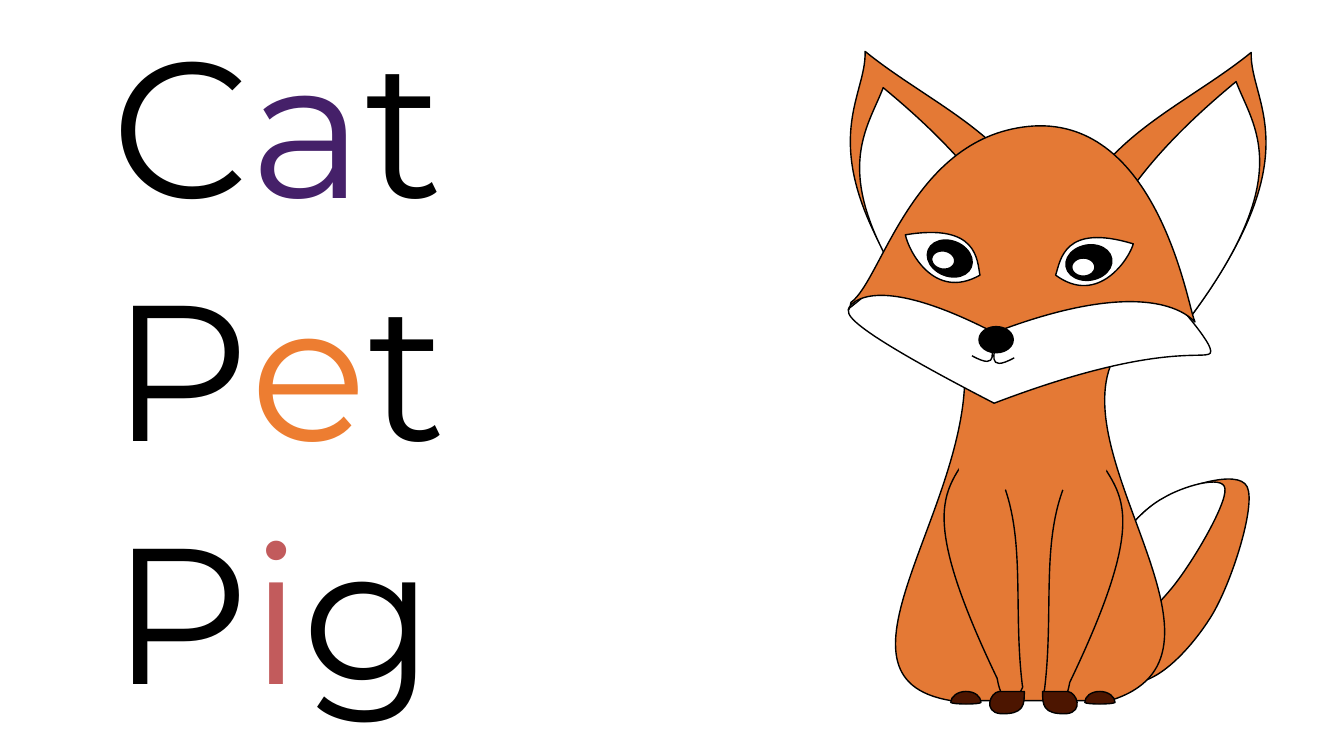
from lxml import etree
from pptx import Presentation
from pptx.dml.color import RGBColor
from pptx.enum.shapes import MSO_SHAPE
from pptx.enum.text import MSO_AUTO_SIZE
from pptx.oxml.ns import qn
from pptx.util import Emu, Pt

OVAL = MSO_SHAPE.OVAL
GROW = MSO_AUTO_SIZE.SHAPE_TO_FIT_TEXT

BLACK = RGBColor(0x00, 0x00, 0x00)
WHITE = RGBColor(0xFF, 0xFF, 0xFF)
PURPLE = RGBColor(0x45, 0x20, 0x69)
ORANGE = RGBColor(0xED, 0x7D, 0x31)
ROSE = RGBColor(0xC2, 0x5B, 0x5C)
FUR = RGBColor(0xE4, 0x79, 0x35)
BROWN = RGBColor(0x4C, 0x15, 0x00)

PX = 9144
SLIDE_SIZE = (1333, 750)
CURVE_STEPS = 24

WORDS = [("Cat", PURPLE, 401), ("Pet", ORANGE, 367), ("Pig", ROSE, 367)]

TAIL = [(1237, 483), (1228, 464, 1170, 484, 1148, 498), (1125, 512, 1102, 543, 1096, 573),
        (1091, 602, 1086, 663, 1114, 675), (1142, 687, 1181, 644, 1201, 612),
        (1221, 580, 1246, 502, 1237, 483)]
TAIL_TIP = [(1215, 485), (1214, 470, 1172, 483, 1154, 494), (1135, 504, 1113, 528, 1102, 551),
            (1092, 574, 1074, 622, 1090, 633), (1105, 643, 1140, 610, 1161, 585),
            (1182, 560, 1217, 500, 1215, 485)]
BODY = [(1103, 359), (956, 353), (971, 496, 806, 672, 943, 695), (1101, 695),
        (1242, 652, 1058, 461, 1103, 359)]
LEG = [(977, 446), (979, 446, 969, 430, 971, 430), (949, 486, 897, 481, 989, 673),
       (997, 718, 1018, 679, 1014, 680), (1003, 589, 1023, 511, 977, 446)]
HIND_PAW = [(973, 697), (973, 691, 967, 686, 958, 686), (950, 686, 943, 691, 943, 697),
            (946, 699, 971, 699, 973, 697)]
FRONT_PAW = [(1016, 686), (991, 686), (982, 687, 975, 706, 992, 708),
             (1016, 709, 1016, 699, 1016, 686)]
EAR = [(921, 317), (796, 150, 860, 101, 858, 51), (912, 95, 984, 126, 1019, 184), (921, 317)]
INNER_EAR = [(923, 323), (815, 179, 859, 132, 876, 87), (922, 125, 966, 168, 996, 218),
             (923, 323)]
MUZZLE = [(1200, 345), (1193, 324, 1085, 202, 1025, 195), (966, 189, 873, 283, 842, 306),
          (841, 311, 829, 319, 986, 400), (1172, 329, 1207, 365, 1200, 345)]
HEAD = [(1184, 316), (1177, 296, 1146, 118, 1025, 125), (905, 133, 875, 278, 844, 300),
        (838, 331, 829, 249, 986, 330), (1172, 259, 1191, 336, 1184, 316)]
LEFT_EYE = [(898, 233), (970, 221, 969, 258, 972, 273), (926, 299, 901, 248, 898, 233)]
RIGHT_EYE = [(1124, 242), (1055, 221, 1052, 258, 1047, 273), (1089, 304, 1120, 257, 1124, 242)]
LIP = [(983, 338), (982, 346, 993, 369, 964, 353)]


def mirror(outline, axis_sum, down=0):
    return [tuple(value + down if index % 2 else axis_sum - value
                  for index, value in enumerate(step)) for step in outline]


def pairs(values):
    return list(zip(values[::2], values[1::2]))


def sample(start, step):
    points = [start, *pairs(step)]
    if len(points) == 2:
        return points[1:]
    samples = []
    for index in range(1, CURVE_STEPS + 1):
        t = index / CURVE_STEPS
        weights = ((1 - t) ** 3, 3 * t * (1 - t) ** 2, 3 * t * t * (1 - t), t ** 3)
        samples.append(tuple(sum(weight * point[axis] for weight, point in zip(weights, points))
                             for axis in (0, 1)))
    return samples


def add_text(paragraph, text, *, color, size=138, font="Montserrat"):
    run = paragraph.add_run()
    run.text = text
    run.font.name = font
    run.font.size = Pt(size)
    run.font.color.rgb = color


class Artist:
    def __init__(self, slide, line_color=BLACK, line_width=1):
        self.slide = slide
        self.line_color = line_color
        self.line_width = line_width
        self.group = slide.shapes.add_group_shape()

    def word(self, text, vowel_color, left, top, width, height):
        box = self.slide.shapes.add_textbox(*(Emu(value * PX)
                                              for value in (left, top, width, height)))
        frame = box.text_frame
        frame.word_wrap = True
        frame.auto_size = GROW
        for letter, color in zip(text, (BLACK, vowel_color, BLACK)):
            add_text(frame.paragraphs[0], letter, color=color)

    def style(self, shape, fill, outlined=True):
        shape.shadow.inherit = False
        if fill is None:
            shape.fill.background()
        else:
            shape.fill.solid()
            shape.fill.fore_color.rgb = fill
        if outlined:
            shape.line.color.rgb = self.line_color
            shape.line.width = Pt(self.line_width)
        else:
            shape.line.fill.background()

    def oval(self, left, top, width, height, fill, rotation=0, outlined=True):
        shape = self.group.shapes.add_shape(
            OVAL, *(Emu(value * PX) for value in (left, top, width, height)))
        shape.rotation = rotation
        self.style(shape, fill, outlined)

    def curve(self, outline, fill=None):
        vertices = [outline[0]]
        for previous, step in zip(outline, outline[1:]):
            vertices += sample(previous[-2:], step)
        vertices = [(x * PX, y * PX) for x, y in vertices]
        builder = self.group.shapes.build_freeform(*vertices[0])
        builder.add_line_segments(vertices[1:], close=fill is not None)
        shape = builder.convert_to_shape()
        self.bend(shape, outline, closed=fill is not None)
        self.style(shape, fill)

    def bend(self, shape, outline, closed):
        path = shape.element.find(".//" + qn("a:path"))
        for child in list(path):
            path.remove(child)
        for index, step in enumerate(outline):
            tag = "a:moveTo" if index == 0 else "a:lnTo" if len(step) == 2 else "a:cubicBezTo"
            segment = etree.SubElement(path, qn(tag))
            for x, y in pairs(step):
                etree.SubElement(segment, qn("a:pt"), x=str(x * PX - shape.left),
                                 y=str(y * PX - shape.top))
        if closed:
            etree.SubElement(path, qn("a:close"))


def draw_fox(artist):
    for outline, fill in [
        (TAIL, FUR), (TAIL_TIP, WHITE), (BODY, FUR), (LEG, FUR),
        (HIND_PAW, BROWN), (mirror(HIND_PAW, 2049), BROWN), (FRONT_PAW, BROWN),
        (mirror(LEG, 2050, 4), FUR), (mirror(FRONT_PAW, 2050), BROWN),
        (EAR, FUR), (INNER_EAR, WHITE),
        (mirror(EAR, 2099, 1), FUR), (mirror(INNER_EAR, 2102, -6), WHITE),
        (MUZZLE, WHITE), (HEAD, FUR),
    ]:
        artist.curve(outline, fill)
    artist.oval(971, 324, 34, 26, BLACK)
    artist.curve(LEFT_EYE, WHITE)
    artist.oval(919, 239, 46, 35, BLACK, rotation=21.8)
    artist.oval(924, 249, 23, 18, WHITE, rotation=9.9)
    artist.oval(950, 425, 63, 65, FUR, outlined=False)
    artist.oval(1036, 424, 63, 65, FUR, outlined=False)
    artist.curve(RIGHT_EYE, WHITE)
    artist.oval(1057, 243, 46, 35, BLACK, rotation=350.1)
    artist.oval(1063, 256, 23, 18, WHITE)
    artist.curve(LIP)
    artist.curve(mirror(LIP, 1970, 2))


def main():
    presentation = Presentation()
    presentation.slide_width, presentation.slide_height = (Emu(value * PX) for value in SLIDE_SIZE)
    slide = presentation.slides.add_slide(presentation.slide_layouts[6])
    artist = Artist(slide)
    for row, (text, vowel_color, width) in enumerate(WORDS):
        artist.word(text, vowel_color, 101, row * 241, width, 242)
    draw_fox(artist)
    presentation.save("out.pptx")


if __name__ == "__main__":
    main()
